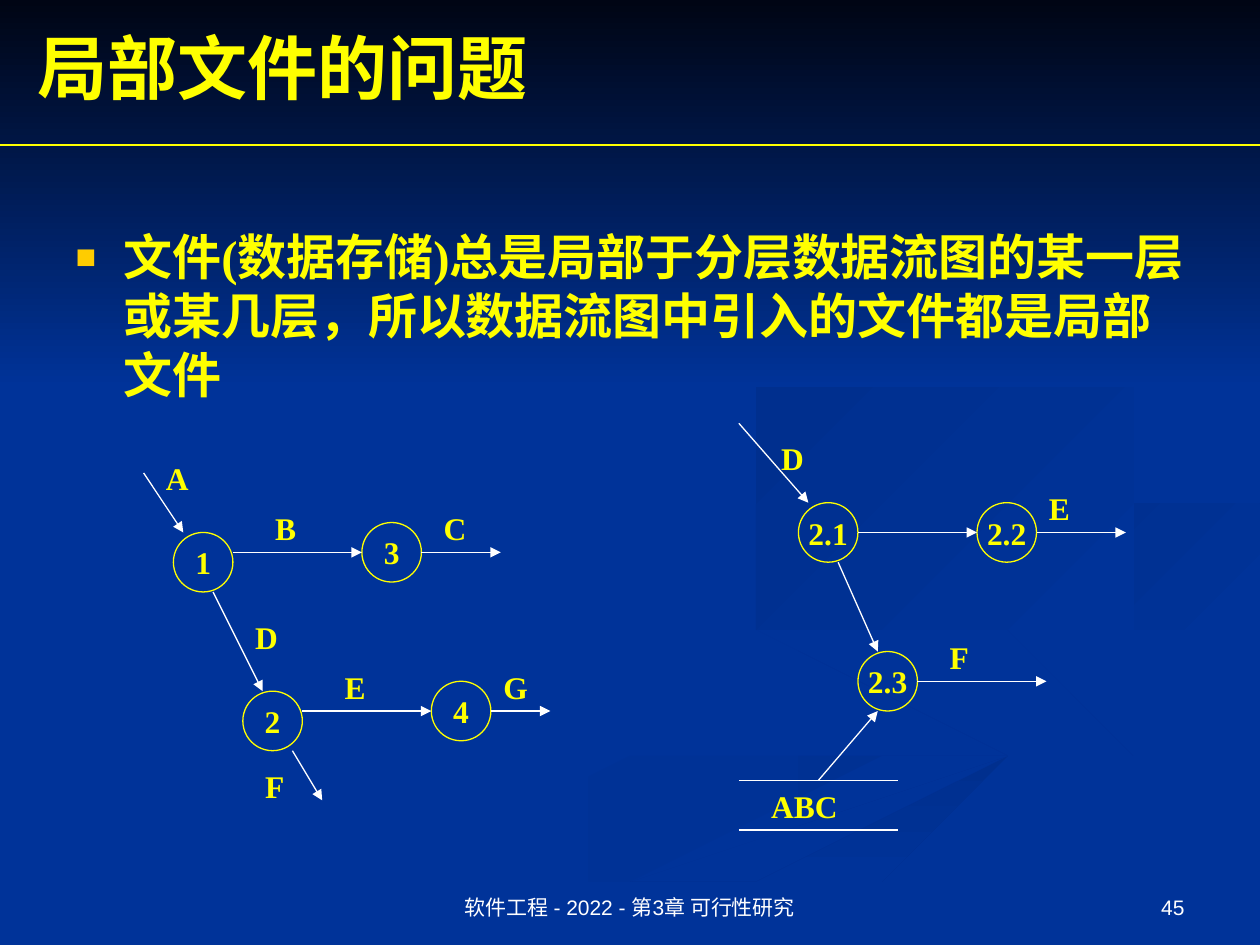
"""Build the slide on local files in layered data flow diagrams."""
from lxml import etree
from pptx import Presentation
from pptx.dml.color import RGBColor
from pptx.enum.shapes import MSO_CONNECTOR, MSO_SHAPE
from pptx.enum.text import MSO_ANCHOR, MSO_AUTO_SIZE, PP_ALIGN
from pptx.oxml.ns import qn
from pptx.util import Inches, Mm, Pt

LEFT, CENTER, RIGHT = PP_ALIGN.LEFT, PP_ALIGN.CENTER, PP_ALIGN.RIGHT
TOP, MIDDLE, BOTTOM = MSO_ANCHOR.TOP, MSO_ANCHOR.MIDDLE, MSO_ANCHOR.BOTTOM
STRAIGHT, OVAL, RECTANGLE = MSO_CONNECTOR.STRAIGHT, MSO_SHAPE.OVAL, MSO_SHAPE.RECTANGLE
YELLOW, WHITE, BLUE, SHADE = "FFFF00", "FFFFFF", "003399", "002F8E"
UNIT, GRID_LEFT, GRID_TOP = Mm(2), Inches(1.14), Inches(3.36)
NODE_SIZE = 6 * UNIT


def color(hex_code):
    return RGBColor.from_string(hex_code)


def write(shape, text, size=18, font="Times New Roman", fill=YELLOW, bold=True,
          align=LEFT, anchor=TOP, wrap=True):
    frame = shape.text_frame
    frame.auto_size = MSO_AUTO_SIZE.NONE
    frame.word_wrap = wrap
    frame.vertical_anchor = anchor
    paragraph = frame.paragraphs[0]
    paragraph.alignment = align
    paragraph.space_before = Pt(0)
    run = paragraph.add_run()
    run.text = text
    run.font.size = Pt(size)
    run.font.name = font
    run.font.bold = bold
    run.font.color.rgb = color(fill)
    return paragraph


presentation = Presentation()
presentation.slide_width, presentation.slide_height = Inches(10), Inches(7.5)
width, height = presentation.slide_width, presentation.slide_height
slide = presentation.slides.add_slide(presentation.slide_layouts[1])
shapes = slide.shapes
slide.background.fill.solid()
slide.background.fill.fore_color.rgb = color(BLUE)

swirls = [
    (BLUE, "003193", 0, [
        (7.8, 5.5), (6.1, 5), (5.75, 4.6), (5.9, 4.9), (7.8, 5.6), (7.6, 5.9),
        (5.4, 6.5), (3, 7.49), (3.6, 7.49), (5.3, 6.75), (7.8, 6.05), (8, 5.8)]),
    (BLUE, "003193", 45, [
        (9.43, 5.7), (9, 5.4), (7.6, 5), (7.24, 4.64), (7.5, 5), (8.8, 5.5),
        (9.18, 5.8), (8.94, 6.05), (9.3, 5.9)]),
    (SHADE, BLUE, 90, [
        (5.03, 7.49), (5.7, 7.49), (6.7, 7), (8.2, 6.5), (9.98, 6.1), (9.98, 5.81),
        (7.6, 6.5), (6.3, 6.9)]),
    (BLUE, BLUE, 0, [
        (7.25, 4.64), (7.6, 5), (9.2, 5.5), (9.4, 5.8), (7.4, 6.4), (4.8, 7.49),
        (5.2, 7.49), (7.6, 6.5), (9.99, 5.8), (9.99, 5.4), (7.8, 4.6), (8.4, 4.3),
        (9.99, 4), (9.99, 3.9), (7.6, 4.3)]),
    (SHADE, BLUE, 45, [
        (7.81, 4.6), (7.9, 4.8), (8.26, 4.96), (8.05, 4.75), (8.4, 4.5), (9.98, 4.2),
        (9.98, 4), (8.3, 4.3)]),
    (SHADE, BLUE, 45, [
        (6.83, 4.3), (8.2, 4), (8.8, 3.75), (8.94, 3.4), (8.8, 3.07), (8.6, 2.9),
        (8.89, 3.35), (8.6, 3.7), (6.4, 4.2), (5.85, 4.45), (5.8, 4.7), (6.2, 5),
        (5.93, 4.7), (6.1, 4.5)]),
]
backdrop = []
for first, last, angle, points in swirls:
    builder = shapes.build_freeform(*points[0], scale=Inches(1))
    builder.add_line_segments(points[1:], close=True)
    backdrop.append((builder.convert_to_shape(), first, last, angle))
top_shade = shapes.add_shape(RECTANGLE, 0, 0, width, int(height * 0.41))
backdrop.append((top_shade, "000514", BLUE, 90))
for shape, first, last, angle in backdrop:
    shape.shadow.inherit = False
    shape.line.fill.background()
    shape.fill.gradient()
    shape.fill.gradient_angle = -angle % 360
    for stop, position, hex_code in zip(shape.fill.gradient_stops, (0, 1), (first, last)):
        stop.position = position
        stop.color.rgb = color(hex_code)

title, body = shapes.title, slide.placeholders[1]
for placeholder, left, top, box_height in ((body, 0.05, 1.75, 1.61), (title, 0.02, 0.14, 0.77)):
    placeholder.left, placeholder.top = int(width * left), Inches(top)
    placeholder.width, placeholder.height = int(width * 0.9), Inches(box_height)
    shapes.element.append(placeholder.element)
write(title, "局部文件的问题", size=40, anchor=MIDDLE)
paragraph = write(
    body, "文件(数据存储)总是局部于分层数据流图的某一层或某几层，所以数据流图中引入的文件都是局部文件", size=28)
properties = paragraph._p.get_or_add_pPr()
properties.set("marL", str(Inches(0.38)))
properties.set("indent", str(-Inches(0.38)))
bullet_color = etree.SubElement(properties, qn("a:buClr"))
etree.SubElement(bullet_color, qn("a:srgbClr"), val="FFCC00")
etree.SubElement(properties, qn("a:buSzPct"), val="70000")
etree.SubElement(properties, qn("a:buFont"), typeface="Arial")
etree.SubElement(properties, qn("a:buChar"), char="■")

for text, left, share, align in (
        ("软件工程 - 2022 - 第3章 可行性研究", 0.34, 0.32, CENTER), ("45", 0.72, 0.23, RIGHT)):
    footer = shapes.add_textbox(
        int(width * left), int(height * 0.91), int(width * share), int(height * 0.07))
    write(footer, text, size=12, font="Arial", fill=WHITE, bold=False, align=align, anchor=BOTTOM)

nodes = [("1", 3, 11), ("2.1", 66, 8), ("3", 22, 10), ("2", 10, 27),
         ("2.2", 84, 8), ("4", 29, 26), ("2.3", 72, 23)]
for text, column, row in nodes:
    node = shapes.add_shape(
        OVAL, GRID_LEFT + column * UNIT, GRID_TOP + row * UNIT, NODE_SIZE, NODE_SIZE)
    node.shadow.inherit = False
    node.fill.background()
    node.line.color.rgb = color(YELLOW)
    node.line.width = Pt(0.75)
    write(node, text, align=CENTER, anchor=MIDDLE, wrap=False)

level_flows = [(9, 13, 13), (16, 29, 13), (28, 13, 8), (35, 29, 6),
               (72, 11, 12), (78, 26, 13), (90, 11, 9)]
slanted_flows = [(0, 5, 4, 11), (7, 17, 12, 27), (15, 33, 18, 38),
                 (60, 0, 67, 8), (70, 14, 74, 23), (68, 36, 74, 29)]
flows = slanted_flows + [(column, row, column + span, row) for column, row, span in level_flows]
store_edges = [(60, row, 76, row) for row in (36, 41)]
lines = [(0, Inches(1.15), width, Inches(1.15), YELLOW, False)]
for group, has_arrow in ((flows, True), (store_edges, False)):
    for column, row, end_column, end_row in group:
        lines.append((GRID_LEFT + column * UNIT, GRID_TOP + row * UNIT,
                      GRID_LEFT + end_column * UNIT, GRID_TOP + end_row * UNIT,
                      WHITE, has_arrow))
for left, top, right, bottom, hex_code, has_arrow in lines:
    connector = shapes.add_connector(STRAIGHT, left, top, right, bottom)
    connector.line.color.rgb = color(hex_code)
    connector.line.width = Pt(0.75)
    if has_arrow:
        outline = connector.element.spPr.find(qn("a:ln"))
        etree.SubElement(outline, qn("a:tailEnd"), type="triangle")
    etree.SubElement(connector.element.spPr, qn("a:effectLst"))

labels = [("ABC", 62, 36), ("A", 1, 3), ("B", 12, 8), ("C", 29, 8), ("D", 10, 19), ("E", 19, 24),
          ("G", 35, 24), ("F", 11, 34), ("F", 80, 21), ("E", 90, 6), ("D", 63, 1)]
for text, column, row in labels:
    columns = 13 if text == "ABC" else 6
    label = shapes.add_textbox(
        GRID_LEFT + column * UNIT, GRID_TOP + row * UNIT, columns * UNIT, 5 * UNIT)
    write(label, text)

presentation.save("out.pptx")
